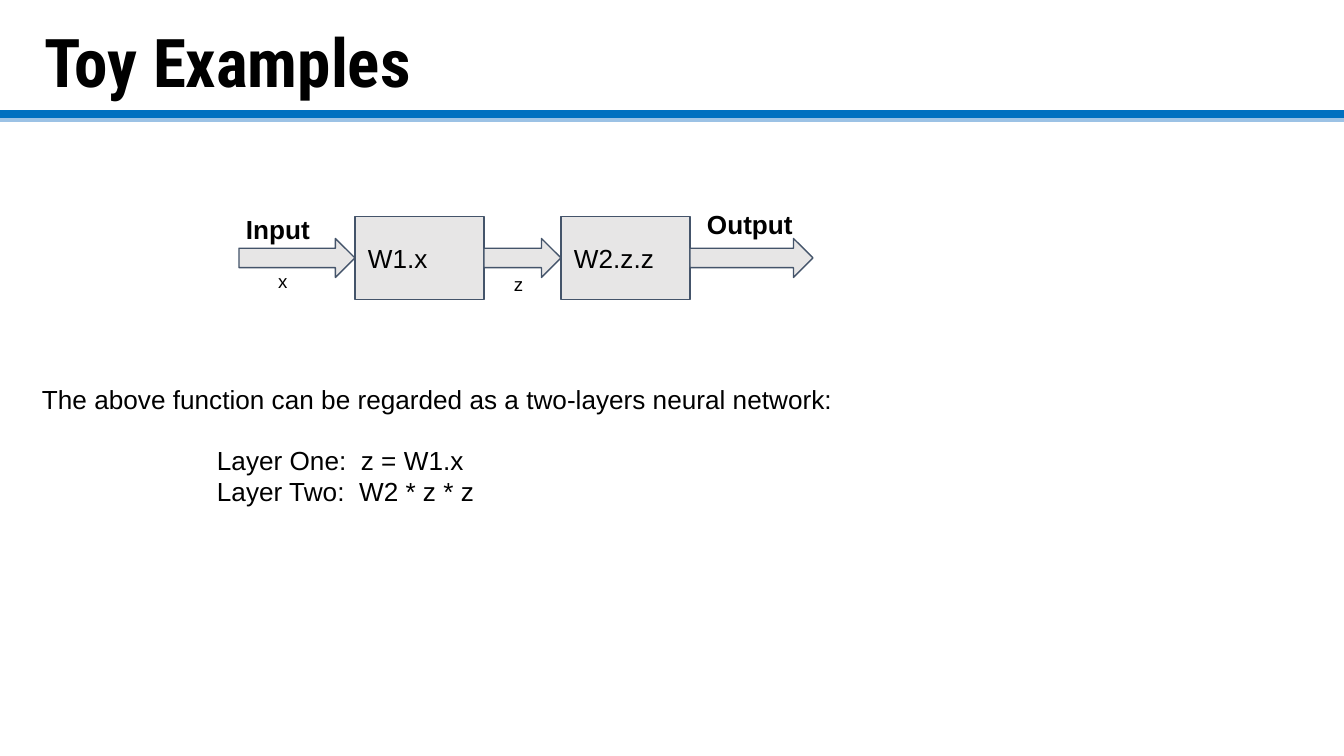
from pptx import Presentation
from pptx import util as u
from pptx.dml.color import RGBColor
from pptx.enum import shapes, text
from lxml import etree

PX = 914400 / 134.4
BLACK = RGBColor(0x00, 0x00, 0x00)
GREY = RGBColor(0xE7, 0xE6, 0xE6)
SLATE = RGBColor(0x44, 0x54, 0x6A)
BLUE = RGBColor(0x00, 0x70, 0xC0)
PALE_BLUE = RGBColor(0x9C, 0xC2, 0xE5)

TITLE = "Toy Examples"
RULES = [(120, PALE_BLUE, 2.25), (114, BLUE, 4.5)]  # y, colour, weight
# Flow from left to right: width and box text; no text means an arrow
FLOW = [(116, None), (129, "W1.x"), (77, None), (129, "W2.z.z"), (123, None)]
FLOW_LEFT, FLOW_MIDDLE = 239, 258
BOX_HEIGHT, ARROW_HEIGHT = 83, 39
# text, left, top, width, size, bold
LABELS = [
    ("Input", 233, 200, 116, 14, True),
    ("Output", 694, 195, 116, 14, True),
    ("x", 265, 259, 66, 10, False),
    ("z", 501, 262, 66, 10, False),
]
# text, indent (px), space before (pt)
BODY = [
    ("The above function can be regarded as a two-layers neural network:", 0, 0),
    ("Layer One:  z = W1.x", 175, 16),
    ("Layer Two:  W2 * z * z", 175, 0),
]


def px(n):
    return u.Emu(round(n * PX))


def set_font(p, size, bold=False, name="Arial"):
    f = p.font
    f.name, f.size, f.bold = name, u.Pt(size), bold
    f.color.rgb = BLACK


def set_frame(tf, inset_x=13, inset_y=13, anchor=text.MSO_ANCHOR.TOP):
    tf.word_wrap = True
    tf.margin_left = tf.margin_right = px(inset_x)
    tf.margin_top = tf.margin_bottom = px(inset_y)
    tf.vertical_anchor = anchor


def add_text(s, words, left, top, width, height, size, bold=False, **frame):
    tf = s.shapes.add_textbox(*map(px, (left, top, width, height))).text_frame
    set_frame(tf, **frame)
    p = tf.paragraphs[0]
    p.text = words
    set_font(p, size, bold)
    return tf


def add_rule(s, y, colour, weight):
    line = s.shapes.add_connector(shapes.MSO_CONNECTOR.STRAIGHT,
                                  px(-1), px(y), px(1344), px(y))
    line.line.color.rgb, line.line.width = colour, u.Pt(weight)
    sp_pr = line._element.spPr
    etree.SubElement(sp_pr, sp_pr.tag.replace("presentationml", "drawingml")
                     .replace("spPr", "effectLst"))


def add_flow(s):
    left = FLOW_LEFT
    for width, words in FLOW:
        kind = shapes.MSO_SHAPE.RECTANGLE if words else shapes.MSO_SHAPE.RIGHT_ARROW
        height = BOX_HEIGHT if words else ARROW_HEIGHT
        sp = s.shapes.add_shape(kind, px(left), px(FLOW_MIDDLE - height / 2),
                                px(width), px(height))
        sp.shadow.inherit = False
        sp.fill.solid()
        sp.fill.fore_color.rgb = GREY
        sp.line.color.rgb, sp.line.width = SLATE, u.Pt(0.75)
        if words:
            set_frame(sp.text_frame, anchor=text.MSO_ANCHOR.MIDDLE)
            p = sp.text_frame.paragraphs[0]
            p.text, p.alignment = words, text.PP_ALIGN.LEFT
            set_font(p, 14)
        left += width


def add_body(s):
    tf = s.shapes.add_textbox(px(32), px(378), px(1046), px(120)).text_frame
    set_frame(tf, inset_x=10, inset_y=5)
    for i, (words, indent, before) in enumerate(BODY):
        p = tf.add_paragraph() if i else tf.paragraphs[0]
        p.text, p.space_before = words, u.Pt(before)
        p._p.get_or_add_pPr().set("marL", str(px(indent)))
        set_font(p, 14)


def main():
    prs = Presentation()
    prs.slide_width, prs.slide_height = px(1344), px(756)
    s = prs.slides.add_slide(prs.slide_layouts[6])
    for rule in RULES:
        add_rule(s, *rule)
    add_body(s)
    add_flow(s)
    for words, left, top, width, size, bold in LABELS:
        add_text(s, words, left, top, width, 39, size, bold)
    title = add_text(s, TITLE, 32, 11, 1003, 110, 36, True,
                     anchor=text.MSO_ANCHOR.MIDDLE).paragraphs[0]
    title.line_spacing = 0.9
    set_font(title, 36, True, "Roboto Condensed")
    prs.save("out.pptx")


if __name__ == "__main__":
    main()
